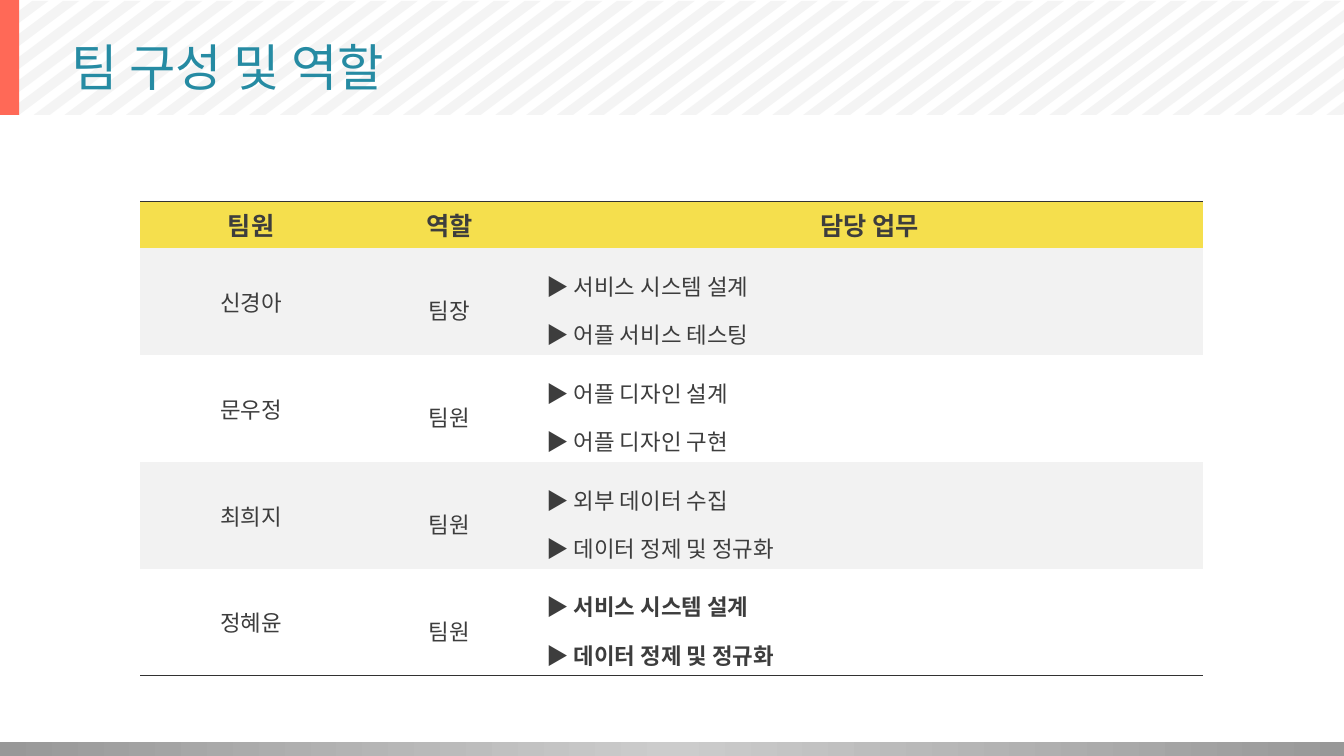
"""Build the team composition and roles slide."""
from copy import deepcopy
from dataclasses import dataclass

from lxml import etree
from pptx import Presentation
from pptx.dml.color import RGBColor
from pptx.enum.shapes import MSO_SHAPE
from pptx.enum.text import MSO_ANCHOR, PP_ALIGN
from pptx.oxml.ns import qn
from pptx.util import Inches, Pt

RECT = MSO_SHAPE.RECTANGLE
MIDDLE = MSO_ANCHOR.MIDDLE
LEFT, CENTER = PP_ALIGN.LEFT, PP_ALIGN.CENTER
LATIN, KOREAN = "Arial", "Noto Sans CJK KR"
TEXT, RULE = "3D3D3D", "323232"
NO_STYLE = "{2D5ABB26-0587-4C30-8999-92F81FD0307C}"
WIDTH, HEIGHT = 13.33, 7.5
BAND_TOP, BAND_BOTTOM = 0.01, 1.14
STRIPE_RUN, STRIPE_WIDTH, STRIPE_PITCH = 1.51, 0.16, 11.6 / 38
COLUMNS = (2.2, 1.73, 6.61)
ROW_HEIGHTS = (0.43, 0.96, 0.96, 0.96, 0.68)
HEADERS = ("팀원", "역할", "담당 업무")


@dataclass
class Member:
    """A team member with a role and tasks."""
    name: str
    role: str
    tasks: tuple[str, ...]
    bold: bool = False


MEMBERS = (
    Member("신경아", "팀장", ("서비스 시스템 설계", "어플 서비스 테스팅")),
    Member("문우정", "팀원", ("어플 디자인 설계", "어플 디자인 구현")),
    Member("최희지", "팀원", ("외부 데이터 수집", "데이터 정제 및 정규화")),
    Member("정혜윤", "팀원", ("서비스 시스템 설계", "데이터 정제 및 정규화"), True),
)


def rgb(value: str) -> RGBColor:
    """Return a colour from a hex string."""
    return RGBColor.from_string(value)


def style_run(r, size: float, color: str, bold: bool = False, latin: str = LATIN) -> None:
    """Format a run with Latin and Korean fonts."""
    r.font.size = Pt(size)
    r.font.bold = bold
    r.font.color.rgb = rgb(color)
    r.font.name = latin
    etree.SubElement(r.font._element, qn("a:ea"), typeface=KOREAN)


def fill_shape(sp, color: str) -> None:
    """Give a shape a plain fill without line or shadow."""
    sp.shadow.inherit = False
    sp.line.fill.background()
    sp.fill.solid()
    sp.fill.fore_color.rgb = rgb(color)


def stripe_edge(x: float) -> list[tuple[float, float]]:
    """Return the ends of a slanted edge, clipped to the slide width."""
    slope = (BAND_BOTTOM - BAND_TOP) / STRIPE_RUN
    ends = (max(x, 0), min(x + STRIPE_RUN, WIDTH))
    return [(end, BAND_BOTTOM - (end - x) * slope) for end in ends]


def add_stripes(s) -> None:
    """Draw the slanted stripes of the title band."""
    for i in range(-5, 44):
        x = 0.03 + i * STRIPE_PITCH
        corners = stripe_edge(x) + stripe_edge(x + STRIPE_WIDTH)[::-1]
        points = [(Inches(px), Inches(py)) for px, py in corners]
        builder = s.shapes.build_freeform(*points[0], scale=1.0)
        builder.add_line_segments(points[1:], close=True)
        sp = builder.convert_to_shape()
        fill_shape(sp, "EBEBEB")
        color = sp.fill._xPr.find(qn("a:solidFill"))[0]
        etree.SubElement(color, qn("a:alpha"), val="52000")


def add_bars(s) -> None:
    """Draw the grey footer bar and the accent bar."""
    footer = s.shapes.add_shape(RECT, 0, Inches(7.36), Inches(13.35), Inches(0.14))
    fill_shape(footer, "989898")
    footer.fill.gradient()
    footer.fill.gradient_angle = 0
    first, middle = footer.fill.gradient_stops
    first.position, middle.position = 0, 0.5
    first.color.rgb, middle.color.rgb = rgb("989898"), rgb("CCCCCC")
    stops = footer._element.spPr.find(qn("a:gradFill")).find(qn("a:gsLst"))
    last = deepcopy(stops[0])
    last.set("pos", "100000")
    stops.append(last)
    accent = s.shapes.add_shape(RECT, 0, 0, Inches(0.19), Inches(BAND_BOTTOM))
    fill_shape(accent, "FF6957")


def add_title(s, text: str) -> None:
    """Place the title in front of the band."""
    title = s.shapes.title
    title.left, title.top = Inches(0.47), Inches(0.14)
    title.width, title.height = Inches(12.36), Inches(1.03)
    tf = title.text_frame
    tf.text = text
    tf.vertical_anchor = MIDDLE
    tf.margin_left = Inches(0.24)
    p = tf.paragraphs[0]
    p.alignment = LEFT
    style_run(p.runs[0], 36, "268BA3")
    title.element.getparent().append(title.element)


def add_border(cell, side: str) -> None:
    """Add a thin rule to one side of a cell."""
    ln = etree.Element(qn(f"a:ln{side}"), w=str(Pt(0.75)))
    fill = etree.SubElement(ln, qn("a:solidFill"))
    etree.SubElement(fill, qn("a:srgbClr"), val=RULE)
    cell._tc.get_or_add_tcPr().insert(0, ln)


def fill_cell(cell, text: str, color: str, size: float = 16,
              bold: bool = False, spacing: float = 1.0) -> None:
    """Write centred text in a filled cell."""
    cell.fill.solid()
    cell.fill.fore_color.rgb = rgb(color)
    cell.vertical_anchor = MIDDLE
    p = cell.text_frame.paragraphs[0]
    p.text = text
    p.alignment = CENTER
    p.line_spacing = spacing
    for r in p.runs:
        style_run(r, size, TEXT, bold)


def add_tasks(cell, member: Member, color: str) -> None:
    """List the tasks of a member behind arrow marks."""
    fill_cell(cell, "", color)
    tf = cell.text_frame
    for i, task in enumerate(member.tasks):
        p = tf.add_paragraph() if i else tf.paragraphs[0]
        p.alignment = LEFT
        p.line_spacing = 1.5
        for text, bold, latin in (("▶ ", True, KOREAN), (task, member.bold, LATIN)):
            r = p.add_run()
            r.text = text
            style_run(r, 16, TEXT, bold, latin)


def add_team_table(s) -> None:
    """Draw the table of members, roles and tasks."""
    frame = s.shapes.add_table(len(ROW_HEIGHTS), len(COLUMNS), Inches(1.39), Inches(2),
                               Inches(sum(COLUMNS)), Inches(sum(ROW_HEIGHTS)))
    table = frame.table
    table.first_row = table.horz_banding = False
    table._tbl.tblPr.find(qn("a:tableStyleId")).text = NO_STYLE
    for column, width in zip(table.columns, COLUMNS):
        column.width = Inches(width)
    for row, height in zip(table.rows, ROW_HEIGHTS):
        row.height = Inches(height)
    for c, header in enumerate(HEADERS):
        fill_cell(table.cell(0, c), header, "F5DF4D", 18, True)
    for i, member in enumerate(MEMBERS, 1):
        color = "F2F2F2" if i % 2 else "FFFFFF"
        fill_cell(table.cell(i, 0), member.name, color)
        fill_cell(table.cell(i, 1), member.role, color, spacing=1.5)
        add_tasks(table.cell(i, 2), member, color)
    for c in range(len(COLUMNS)):
        add_border(table.cell(0, c), "T")
        add_border(table.cell(len(MEMBERS), c), "B")


def main() -> None:
    """Build and save the slide."""
    prs = Presentation()
    prs.slide_width, prs.slide_height = Inches(WIDTH), Inches(HEIGHT)
    s = prs.slides.add_slide(prs.slide_layouts[5])
    add_stripes(s)
    add_bars(s)
    add_title(s, "팀 구성 및 역할")
    add_team_table(s)
    prs.save("out.pptx")


if __name__ == "__main__":
    main()
